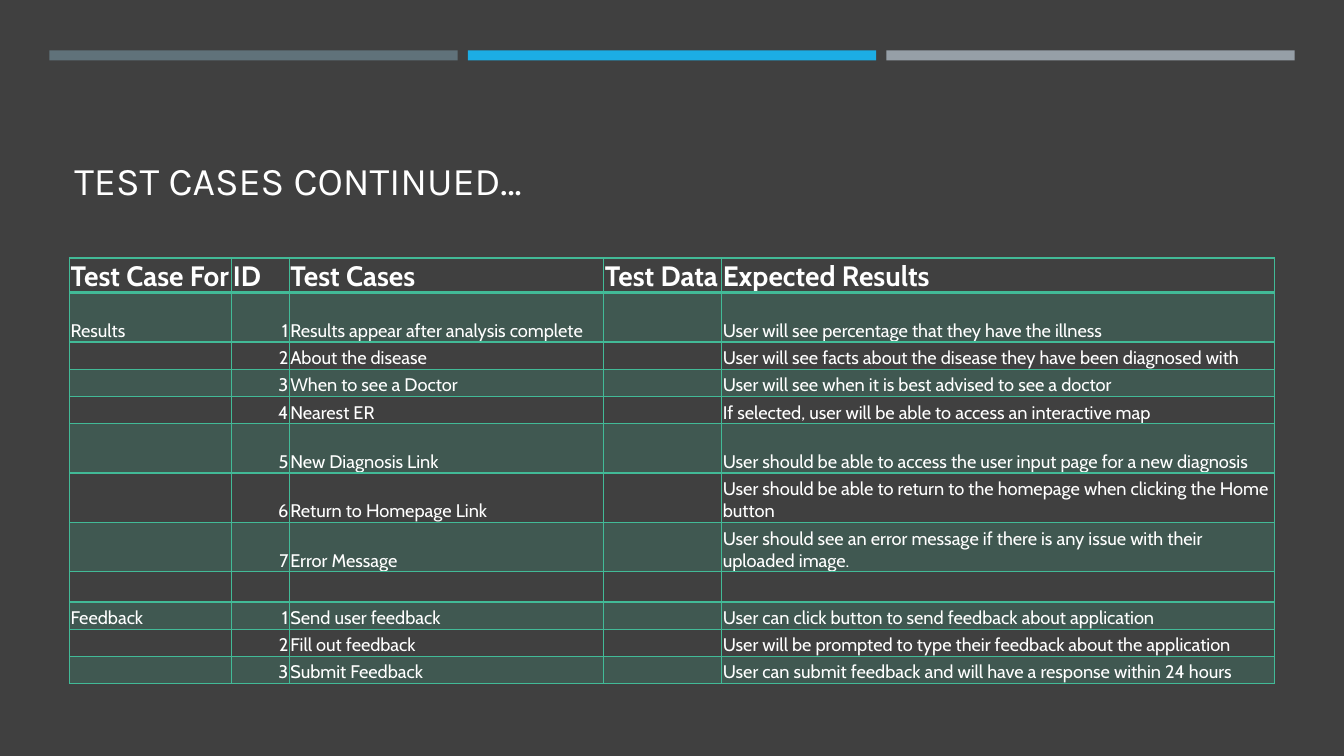
from lxml import etree
from pptx import Presentation
from pptx.dml.color import RGBColor
from pptx.enum.shapes import MSO_SHAPE
from pptx.enum.text import MSO_ANCHOR, PP_ALIGN
from pptx.oxml.ns import qn
from pptx.util import Inches, Pt

WHITE = "FFFFFF"
GREEN = "42BA97"
BARS = ["60727A", "1CADE4", "969FA7"]
COLS = [1.61, 0.57, 3.12, 1.17, 5.48]
ROWS = [0.3, 0.49, 0.27, 0.27, 0.27, 0.49, 0.49, 0.49, 0.3, 0.27, 0.27, 0.27]
CASES = [
    ("Test Case For", "ID", "Test Cases", "Test Data", "Expected Results"),
    ("Results", "1", "Results appear after analysis complete", "",
     "User will see percentage that they have the illness"),
    ("", "2", "About the disease", "",
     "User will see facts about the disease they have been diagnosed with"),
    ("", "3", "When to see a Doctor", "",
     "User will see when it is best advised to see a doctor"),
    ("", "4", "Nearest ER", "",
     "If selected, user will be able to access an interactive map"),
    ("", "5", "New Diagnosis Link", "",
     "User should be able to access the user input page for a new diagnosis"),
    ("", "6", "Return to Homepage Link", "",
     "User should be able to return to the homepage when clicking the Home button"),
    ("", "7", "Error Message", "",
     "User should see an error message if there is any issue with their uploaded image."),
    ("", "", "", "", ""),
    ("Feedback", "1", "Send user feedback", "",
     "User can click button to send feedback about application"),
    ("", "2", "Fill out feedback", "",
     "User will be prompted to type their feedback about the application"),
    ("", "3", "Submit Feedback", "",
     "User can submit feedback and will have a response within 24 hours"),
]


def rgb(color):
    return RGBColor.from_string(color)


def set_font(p, name, size, bold=False):
    p.font.name = name
    p.font.size = Pt(size)
    p.font.bold = bold
    p.font.color.rgb = rgb(WHITE)


def add_bar(s, left, color):
    sp = s.shapes.add_shape(MSO_SHAPE.RECTANGLE, Inches(left), Inches(0.5),
                            Inches(4.05), Inches(0.1))
    sp.shadow.inherit = False
    sp.fill.solid()
    sp.fill.fore_color.rgb = rgb(color)
    sp.line.fill.background()


def add_title(s, text):
    sp = s.shapes.add_textbox(Inches(0.64), Inches(0.77), Inches(12.06), Inches(1.3))
    tf = sp.text_frame
    tf.word_wrap = True
    tf.vertical_anchor = MSO_ANCHOR.BOTTOM
    p = tf.paragraphs[0]
    p.text = text
    set_font(p, "Karla", 28)


def set_border(cell, side, width):
    ln = etree.SubElement(cell._tc.get_or_add_tcPr(), qn(f"a:ln{side}"), w=str(Pt(width)))
    fill = etree.SubElement(ln, qn("a:solidFill"))
    etree.SubElement(fill, qn("a:srgbClr"), val=GREEN)


def set_fill(cell, shaded):
    if not shaded:
        cell.fill.background()
        return
    cell.fill.solid()
    cell.fill.fore_color.rgb = rgb(GREEN)
    color = cell._tc.tcPr.find(f"{qn('a:solidFill')}/{qn('a:srgbClr')}")
    etree.SubElement(color, qn("a:alpha"), val="20000")


def fill_cell(cell, text, row, col):
    header = row == 0
    size = 20 if header else 13
    cell.margin_left = cell.margin_right = cell.margin_top = Inches(0.01)
    cell.margin_bottom = 0
    cell.vertical_anchor = MSO_ANCHOR.BOTTOM
    p = cell.text_frame.paragraphs[0]
    if text:
        p.text = text
    else:
        p._p.get_or_add_endParaRPr().set("sz", str(size * 100))
    if col == 1 and not header:
        p.alignment = PP_ALIGN.RIGHT
    set_font(p, "Cabin", size, header)
    for side in "LRTB":
        under_header = (row, side) in [(0, "B"), (1, "T")]
        set_border(cell, side, 2 if under_header else 1)
    set_fill(cell, row % 2 == 1)


def add_case_table(s):
    frame = s.shapes.add_table(len(ROWS), len(COLS), Inches(0.69), Inches(2.56),
                               Inches(sum(COLS)), Inches(sum(ROWS)))
    table = frame.table
    table.horz_banding = False
    for column, width in zip(table.columns, COLS):
        column.width = Inches(width)
    for row, (height, case) in enumerate(zip(ROWS, CASES)):
        table.rows[row].height = Inches(height)
        for col, text in enumerate(case):
            fill_cell(table.cell(row, col), text, row, col)


def main():
    prs = Presentation()
    prs.slide_width = Inches(13.33)
    prs.slide_height = Inches(7.5)
    s = prs.slides.add_slide(prs.slide_layouts[6])
    s.background.fill.solid()
    s.background.fill.fore_color.rgb = rgb("404040")
    for i, color in enumerate(BARS):
        add_bar(s, 0.49 + 4.15 * i, color)
    add_title(s, "TEST CASES CONTINUED…")
    add_case_table(s)
    prs.save("out.pptx")


if __name__ == "__main__":
    main()
